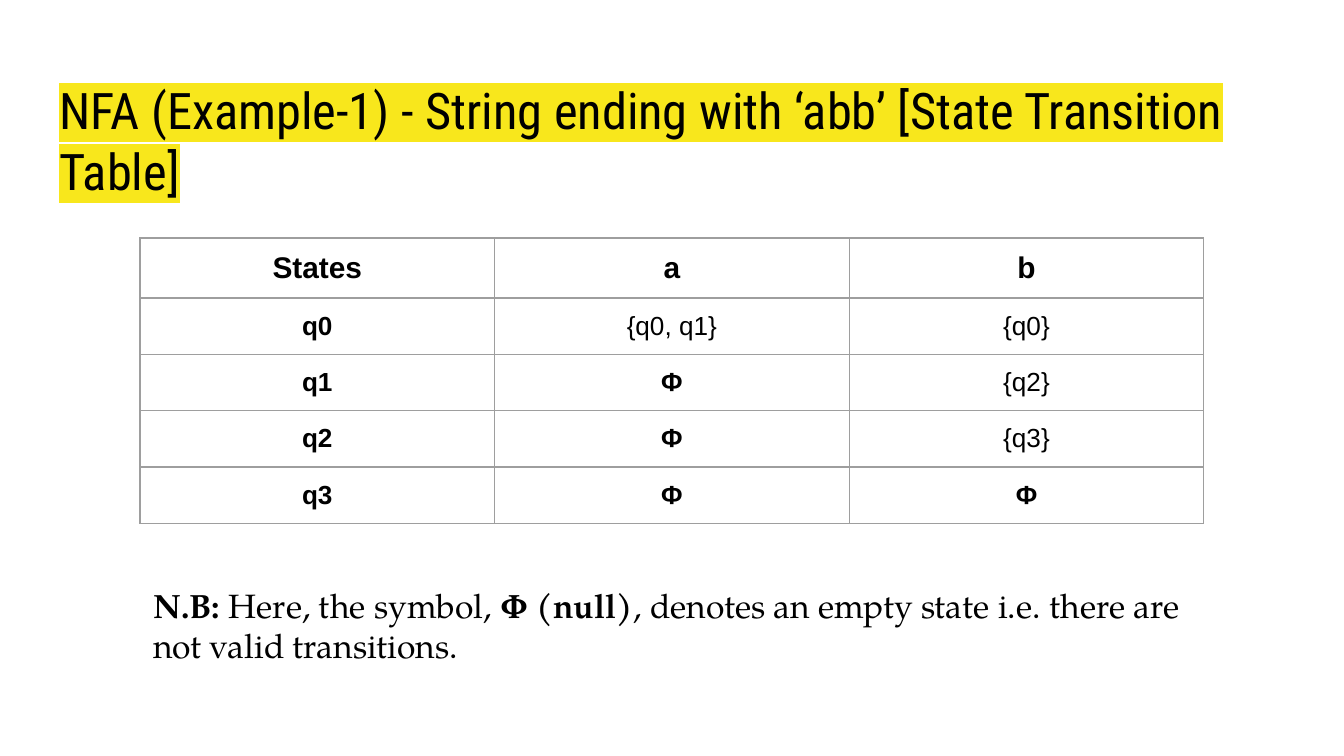
from dataclasses import dataclass

from lxml.etree import SubElement
from pptx import Presentation
from pptx.dml.color import RGBColor
from pptx.enum.text import MSO_ANCHOR, MSO_AUTO_SIZE, PP_ALIGN
from pptx.oxml.ns import qn
from pptx.util import Pt

TITLE = "NFA (Example-1) - String ending with ‘abb’ [State Transition Table]"
NULL = "Φ"
TRANSITIONS = [
    ("States", "a", "b"),
    ("q0", "{q0, q1}", "{q0}"),
    ("q1", NULL, "{q2}"),
    ("q2", NULL, "{q3}"),
    ("q3", NULL, NULL),
]
NOTE = [  # text, bold
    ("N.B:", True),
    (" Here, the symbol, ", False),
    ("Φ (null)", True),
    (", denotes an empty state i.e. there are not valid transitions.", False),
]

# left, top, width, height in px
PAGE_SIZE = (1344, 756)
TITLE_BOX = (46, 66, 1252, 85)
TABLE_BOX = (140, 238, 1064, 284)
NOTE_BOX = (140, 571, 1064, 128)
HEADER_HEIGHT, ROW_HEIGHT = 60, 56
INSET = Pt(7.2)
EMU_PER_PX = 914400 / 134.4


@dataclass(frozen=True)
class Theme:
    ink: str = "000000"
    highlight: str = "F8E71C"
    rule: str = "9E9E9E"
    rule_width: float = 0.75
    title_font: str = "Roboto Condensed"
    table_font: str = "Arial"
    note_font: str = "TeX Gyre Pagella"
    title_size: int = 27
    header_size: int = 16
    cell_size: int = 14
    note_size: int = 18


THEME = Theme()


def px(length):
    return round(length * EMU_PER_PX)


def add_span(para, text, font, size, bold=False):
    span = para.add_run()
    span.text = text
    span.font.size = Pt(size)
    span.font.bold = bold
    span.font.color.rgb = RGBColor.from_string(THEME.ink)
    span.font.name = font
    return span


def highlight(span, color):
    mark = SubElement(span.font._element, qn("a:highlight"))
    SubElement(mark, qn("a:srgbClr"), val=color)
    span.font._element.find(qn("a:solidFill")).addnext(mark)


def set_frame(frame):
    frame.word_wrap = True
    frame.auto_size = MSO_AUTO_SIZE.NONE
    frame.vertical_anchor = MSO_ANCHOR.TOP
    set_insets(frame)


def set_insets(target):
    for side in ("left", "top", "right", "bottom"):
        setattr(target, f"margin_{side}", INSET)


def set_borders(cell):
    """Rule all four sides; lines must precede the fill in the cell properties."""
    properties = cell._tc.get_or_add_tcPr()
    for index, side in enumerate(("lnL", "lnR", "lnT", "lnB")):
        line = SubElement(properties, qn(f"a:{side}"), w=str(Pt(THEME.rule_width)))
        fill = SubElement(line, qn("a:solidFill"))
        SubElement(fill, qn("a:srgbClr"), val=THEME.rule)
        properties.insert(index, line)


def add_title(page):
    box = page.shapes.title
    box.left, box.top, box.width, box.height = map(px, TITLE_BOX)
    set_frame(box.text_frame)
    para = box.text_frame.paragraphs[0]
    para.alignment = PP_ALIGN.LEFT
    span = add_span(para, TITLE, THEME.title_font, THEME.title_size)
    highlight(span, THEME.highlight)


def add_transition_table(page):
    shape = page.shapes.add_table(len(TRANSITIONS), len(TRANSITIONS[0]), *map(px, TABLE_BOX))
    table = shape.table
    table.first_row = table.horz_banding = False
    for row_index, values in enumerate(TRANSITIONS):
        is_header = row_index == 0
        table.rows[row_index].height = px(HEADER_HEIGHT if is_header else ROW_HEIGHT)
        size = THEME.header_size if is_header else THEME.cell_size
        for column_index, text in enumerate(values):
            cell = table.cell(row_index, column_index)
            cell.fill.background()
            set_insets(cell)
            set_borders(cell)
            para = cell.text_frame.paragraphs[0]
            para.alignment = PP_ALIGN.CENTER
            bold = is_header or column_index == 0 or text == NULL
            add_span(para, text, THEME.table_font, size, bold)


def add_note(page):
    box = page.shapes.add_textbox(*map(px, NOTE_BOX))
    set_frame(box.text_frame)
    para = box.text_frame.paragraphs[0]
    for text, bold in NOTE:
        add_span(para, text, THEME.note_font, THEME.note_size, bold)


def main():
    deck = Presentation()
    deck.slide_width, deck.slide_height = map(px, PAGE_SIZE)
    page = deck.slides.add_slide(deck.slide_layouts.get_by_name("Title Only"))
    add_title(page)
    add_transition_table(page)
    add_note(page)
    deck.save("out.pptx")


if __name__ == "__main__":
    main()
